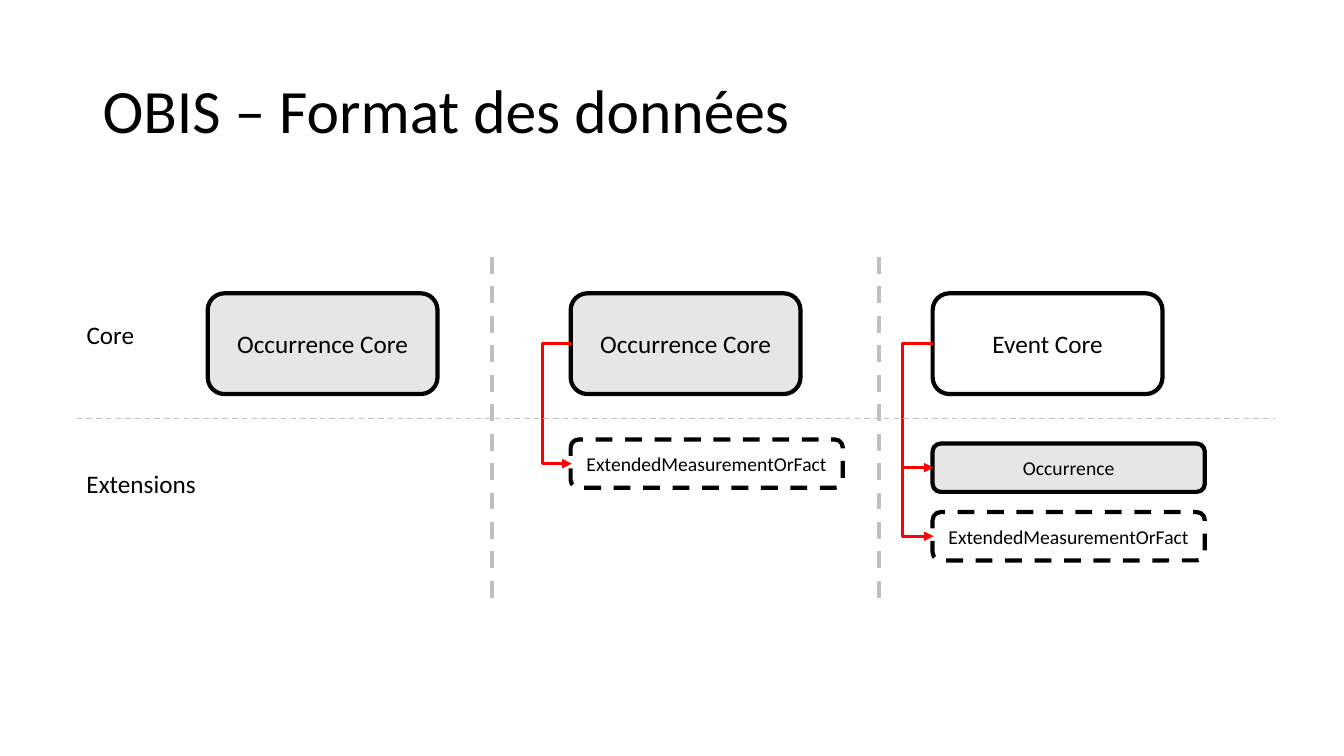
from dataclasses import dataclass

from lxml import etree
from pptx import Presentation
from pptx.dml.color import RGBColor
from pptx.enum.dml import MSO_LINE
from pptx.enum.shapes import MSO_CONNECTOR, MSO_SHAPE
from pptx.enum.text import MSO_ANCHOR, PP_ALIGN
from pptx.oxml.ns import qn
from pptx.util import Emu, Pt

DASH = MSO_LINE.DASH
ELBOW, STRAIGHT = MSO_CONNECTOR.ELBOW, MSO_CONNECTOR.STRAIGHT
ROUND = MSO_SHAPE.ROUNDED_RECTANGLE
TOP, MIDDLE = MSO_ANCHOR.TOP, MSO_ANCHOR.MIDDLE
LEFT, CENTER = PP_ALIGN.LEFT, PP_ALIGN.CENTER
SIDE = 1  # left connection site
SCALE = 9144  # EMU per px, 100 px to the inch
WIDE, HIGH = 1333, 750


@dataclass(frozen=True)
class Theme:
    font: str = "Calibri"
    ink: str = "000000"
    gray: str = "E7E6E6"
    white: str = "FFFFFF"
    rule: str = "BFBFBF"
    red: str = "FF0000"
    title: int = 44
    body: int = 18
    small: int = 14


THEME = Theme()


def px(n):
    return Emu(n * SCALE)


def write(shape, text, size=THEME.body, align=LEFT, anchor=TOP, wrap=True, space=1.0):
    frame = shape.text_frame
    frame.word_wrap = wrap
    frame.vertical_anchor = anchor
    para = frame.paragraphs[0]
    para.alignment = align
    para.line_spacing = space
    run = para.add_run()
    run.text = text
    run.font.name = THEME.font
    run.font.size = Pt(size)
    run.font.color.rgb = RGBColor.from_string(THEME.ink)


def label(slide, text, x, y, w, h, **style):
    write(slide.shapes.add_textbox(px(x), px(y), px(w), px(h)), text, **style)


def stroke(line, color, width, dash=None):
    line.color.rgb = RGBColor.from_string(color)
    line.width = Pt(width)
    if dash is not None:
        line.dash_style = dash


def box(slide, text, x, y, w, h, size, fill, dash=None):
    shape = slide.shapes.add_shape(ROUND, px(x), px(y), px(w), px(h))
    shape.shadow.inherit = False
    shape.fill.solid()
    shape.fill.fore_color.rgb = RGBColor.from_string(fill)
    stroke(shape.line, THEME.ink, 3, dash)
    write(shape, text, size=size, align=CENTER, anchor=MIDDLE)
    return shape


def core(slide, text, x, fill):
    return box(slide, text, x, 291, 228, 100, THEME.body, fill)


def extend(slide, text, x, y, fill, dash=None):
    return box(slide, text, x, y, 270, 48, THEME.small, fill, dash)


def link(slide, kind, x1, y1, x2, y2, color, width, dash=None):
    line = slide.shapes.add_connector(kind, px(x1), px(y1), px(x2), px(y2))
    stroke(line.line, color, width, dash)
    etree.SubElement(line._element.spPr, qn("a:effectLst"))
    return line


def branch(slide, start, end, reach):
    """Red elbow arrow that bends out to the left of two boxes."""
    # Spanning the slide first keeps the arrow unflipped as its ends move in
    arrow = link(slide, ELBOW, 0, 0, WIDE, HIGH, THEME.red, 2.25)
    arrow.begin_connect(start, SIDE)
    arrow.end_connect(end, SIDE)
    # The bend is a share of the width, so the width must not be zero
    arrow.width = px(1)
    props = arrow._element.spPr
    guides = props.find(qn("a:prstGeom")).get_or_add_avLst()
    etree.SubElement(guides, qn("a:gd"), name="adj1", fmla=f"val {-reach * 100000}")
    etree.SubElement(props.find(qn("a:ln")), qn("a:tailEnd"), type="triangle")


def main():
    deck = Presentation()
    deck.slide_width, deck.slide_height = px(WIDE), px(HIGH)
    slide = deck.slides.add_slide(deck.slide_layouts[6])

    # Title and row labels
    label(slide, "OBIS – Format des données", 92, 40, 1150, 145,
          size=THEME.title, anchor=MIDDLE, space=0.9)
    label(slide, "Core", 76, 312, 68, 40, wrap=False)
    label(slide, "Extensions", 76, 460, 130, 40, wrap=False)

    # Core boxes
    core(slide, "Occurrence Core", 206, THEME.gray)
    record = core(slide, "Occurrence Core", 566, THEME.gray)
    event = core(slide, "Event Core", 925, THEME.white)

    # Extension boxes
    fact = "ExtendedMeasurementOrFact"
    detail = extend(slide, fact, 566, 436, THEME.white, DASH)
    extra = extend(slide, fact, 925, 508, THEME.white, DASH)
    sight = extend(slide, "Occurrence", 925, 440, THEME.gray)

    # Arrows from core to extensions
    branch(slide, record, detail, 28)
    for end in (sight, extra):
        branch(slide, event, end, 30)

    # Dividers
    link(slide, STRAIGHT, 76, 415, 1265, 415, THEME.rule, 1, DASH)
    for x in (488, 872):
        link(slide, STRAIGHT, x, 255, x, 599, THEME.rule, 3, DASH)

    deck.save("out.pptx")


if __name__ == "__main__":
    main()
